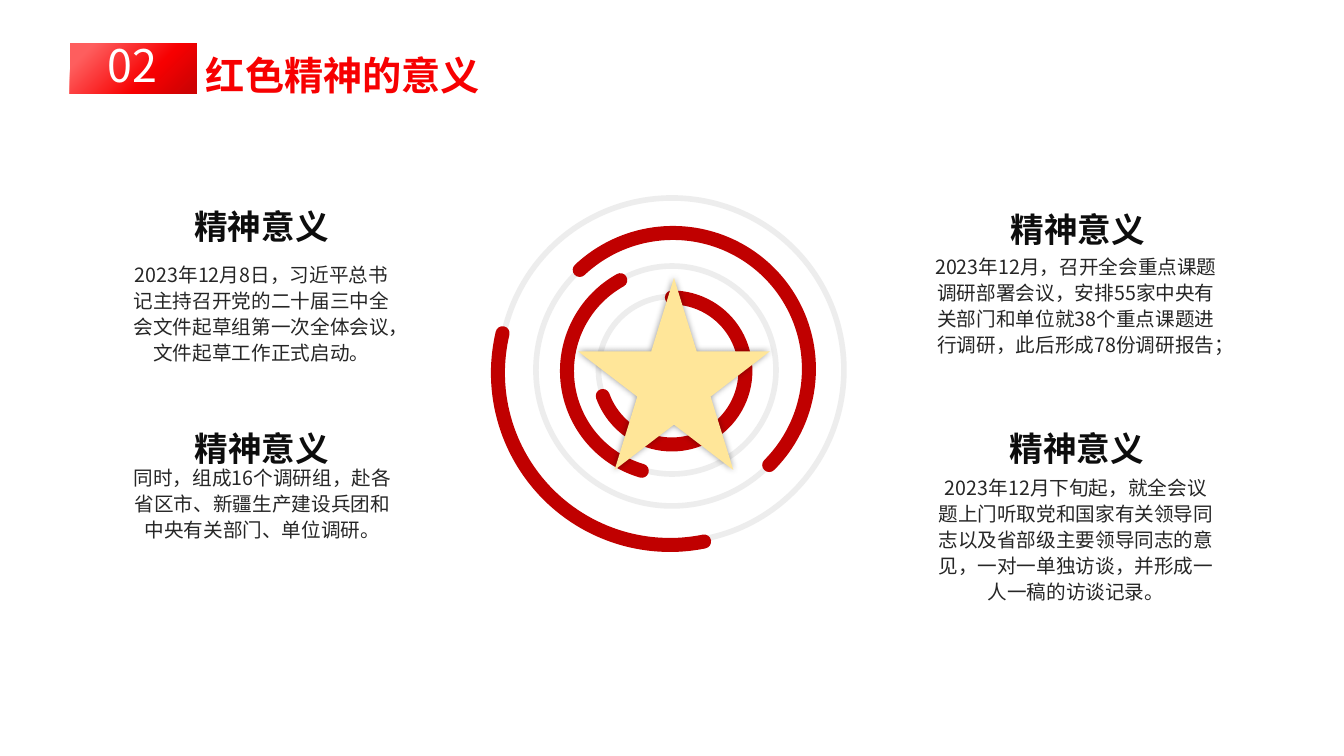
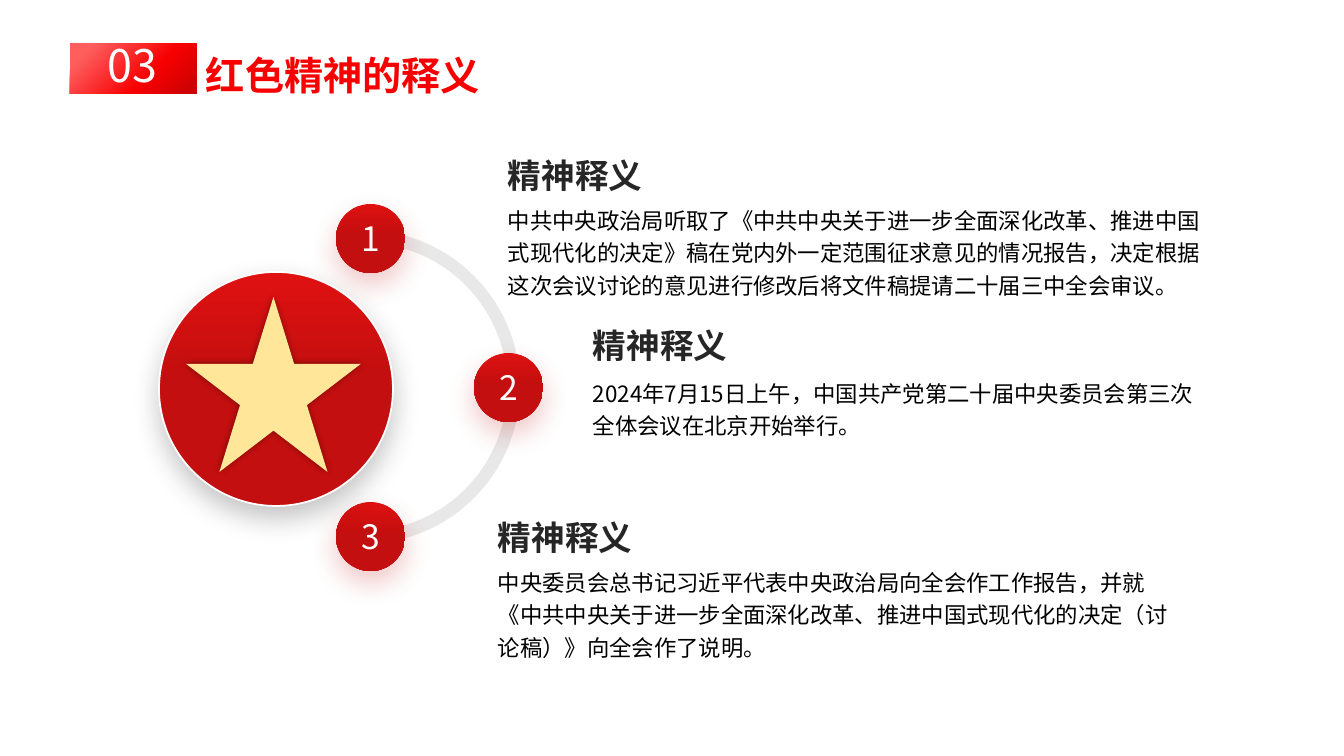
from lxml import etree
from pptx import Presentation
from pptx.dml.color import RGBColor
from pptx.enum.shapes import MSO_SHAPE
from pptx.enum.text import MSO_ANCHOR, MSO_AUTO_SIZE, PP_ALIGN
from pptx.oxml.ns import qn
from pptx.util import Pt

RECT, OVAL, ARC = MSO_SHAPE.RECTANGLE, MSO_SHAPE.OVAL, MSO_SHAPE.ARC
STAR, BLOCK_ARC = MSO_SHAPE.STAR_5_POINT, MSO_SHAPE.BLOCK_ARC
LEFT, CENTER, JUSTIFY = PP_ALIGN.LEFT, PP_ALIGN.CENTER, PP_ALIGN.JUSTIFY
MIDDLE, GROW = MSO_ANCHOR.MIDDLE, MSO_AUTO_SIZE.SHAPE_TO_FIT_TEXT

PX_PER_INCH = 100.8
EMU_PER_PX = 914400 / PX_PER_INCH
PAGE_SIZE = (1344, 756)

THEME = {
    "font": "Noto Sans CJK SC",
    "white": "FFFFFF",
    "arc": "C00000",
    "star": "FFE699",
    "ring": ("A6A6A6", 20),
    "track": ("D9D9D9", 60),
    "tag": ([(14, "FE5E5E"), (63, "F70001"), (94, "CE0203")], 45),
    "title": ([(7, "FE2624"), (60, "F70001"), (94, "CE0203")], 45),
    "medal": ([(0, "DF1111"), (45, "C30F0F")], 90),
    "star_shadow": ("000000", 40, 5, 0, 0),
    "badge_shadow": ("C30F0F", 23, 20, 8, 90),
    "medal_shadow": ("000000", 23, 20, 8, 90),
}
STYLES = {
    "number": {"size": 32, "color": THEME["white"], "align": CENTER},
    "title": {"size": 28, "color": THEME["title"], "bold": True, "align": JUSTIFY},
    "ring_heading": {"size": 24, "color": "0D0D0D", "bold": True, "align": CENTER, "spacing": 1.2},
    "ring_body": {"size": 14, "color": "262626", "align": CENTER, "spacing": 1.1},
    "step_heading": {"size": 24, "color": "262626", "bold": True, "align": LEFT, "spacing": 0.9},
    "step_body": {"size": 16, "color": "000000", "align": LEFT, "spacing": 1.2},
    "badge": {"size": 24, "color": THEME["white"], "align": CENTER},
}

MEANING_TITLE = ("02", "红色精神的意义")
MEANING_HEADING = "精神意义"
MEANINGS = [
    ((953, 196, 250, 59), (920, 248, 312, 115),
     "2023年12月，召开全会重点课题调研部署会议，安排55家中央有关部门和单位就38个重点课题进行调研，此后形成78份调研报告；"),
    ((952, 415, 250, 59), (926, 469, 300, 141),
     "2023年12月下旬起，就全会议题上门听取党和国家有关领导同志以及省部级主要领导同志的意见，一对一单独访谈，并形成一人一稿的访谈记录。"),
    ((137, 415, 250, 59), (118, 459, 289, 89),
     "同时，组成16个调研组，赴各省区市、新疆生产建设兵团和中央有关部门、单位调研。"),
    ((142, 193, 239, 59), (117, 256, 289, 115),
     "2023年12月8日，习近平总书记主持召开党的二十届三中全会文件起草组第一次全体会议，文件起草工作正式启动。"),
]
RING_CENTER = (672, 370)
RINGS = [
    (147, (672, 371), 270, 160.11),
    (208, (671, 371), 106.31, 240.83),
    (272, (673, 369), 226.72, 44.95),
    (344, (670, 373), 78.53, 193.36),
]

STEP_TITLE = ("03", "红色精神的释义")
STEP_HEADING = "精神释义"
STEPS = [
    ((336, 204), (498, 155, 345, 47), (498, 197, 726, 108),
     "中共中央政治局听取了《中共中央关于进一步全面深化改革、推进中国式现代化的决定》稿在党内外一定范围征求意见的情况报告，决定根据这次会议讨论的意见进行修改后将文件稿提请二十届三中全会审议。"),
    ((474, 353), (583, 325, 345, 47), (583, 370, 641, 76),
     "2024年7月15日上午，中国共产党第二十届中央委员会第三次全体会议在北京开始举行。"),
    ((336, 502), (488, 517, 520, 47), (488, 559, 691, 108),
     "中央委员会总书记习近平代表中央政治局向全会作工作报告，并就《中共中央关于进一步全面深化改革、推进中国式现代化的决定（讨论稿）》向全会作了说明。"),
]
BADGE_SIZE = 69


def px(value):
    return round(value * EMU_PER_PX)


def place(*box):
    return [px(value) for value in box]


def around(center, size):
    return (center[0] - size / 2, center[1] - size / 2, size, size)


def add_color(parent, color, alpha=None):
    node = etree.SubElement(parent, qn("a:srgbClr"), val=color)
    if alpha is not None:
        etree.SubElement(node, qn("a:alpha"), val=str(alpha * 1000))


def paint(fill, owner, color):
    if isinstance(color, str):
        fill.solid()
        fill.fore_color.rgb = RGBColor.from_string(color)
    elif isinstance(color[0], str):
        paint(fill, owner, color[0])
        node = owner.find(qn("a:solidFill"))[0]
        etree.SubElement(node, qn("a:alpha"), val=str(color[1] * 1000))
    else:
        stops, angle = color
        fill.gradient()
        fill.gradient_angle = 360 - angle
        stop_list = owner.find(qn("a:gradFill")).find(qn("a:gsLst"))
        for old in list(stop_list):
            stop_list.remove(old)
        for position, stop in stops:
            add_color(etree.SubElement(stop_list, qn("a:gs"), pos=str(position * 1000)), stop)


def add_shape(page, kind, box, fill=None, line=None, width=1, shadow=None, adjust=(), round_cap=False):
    shape = page.shapes.add_shape(kind, *place(*box))
    properties = shape._element.spPr
    for index, value in enumerate(adjust):
        shape.adjustments[index] = value
    if fill:
        paint(shape.fill, properties, fill)
    else:
        shape.fill.background()
    if line:
        shape.line.width = Pt(width)
        outline = properties.find(qn("a:ln"))
        paint(shape.line.fill, outline, line)
        if round_cap:
            outline.set("cap", "rnd")
    else:
        shape.line.fill.background()
    shape.shadow.inherit = False
    if shadow:
        color, alpha, blur, distance, angle = shadow
        outer = etree.SubElement(
            properties.find(qn("a:effectLst")), qn("a:outerShdw"), blurRad=str(Pt(blur)),
            dist=str(Pt(distance)), dir=str(angle * 60000), algn="ctr", rotWithShape="0")
        add_color(outer, color, alpha)
    return shape


def write(frame, text, style):
    para = frame.paragraphs[0]
    para.alignment = style["align"]
    if "spacing" in style:
        para.line_spacing = style["spacing"]
    span = para.add_run()
    span.text = text
    formats = {"size": Pt(style["size"]), "bold": style.get("bold", False), "name": THEME["font"]}
    for name, value in formats.items():
        setattr(span.font, name, value)
    properties = span._r.get_or_add_rPr()
    etree.SubElement(properties, qn("a:ea"), typeface=THEME["font"])
    paint(span.font.fill, properties, style["color"])


def add_text(page, box, text, style_name):
    frame = page.shapes.add_textbox(*place(*box)).text_frame
    frame.word_wrap = True
    frame.auto_size = GROW
    write(frame, text, STYLES[style_name])


def add_star(page, box):
    add_shape(page, STAR, box, THEME["star"], shadow=THEME["star_shadow"])


def add_page(deck, heading):
    page = deck.slides.add_slide(deck.slide_layouts[6])
    number, title = heading
    add_shape(page, RECT, (70, 43, 127, 51), THEME["tag"])
    add_text(page, (89, 33, 87, 65), number, "number")
    add_text(page, (196, 46, 349, 57), title, "title")
    return page


def build_meanings(deck):
    page = add_page(deck, MEANING_TITLE)
    for heading_box, body_box, body in MEANINGS:
        add_text(page, heading_box, MEANING_HEADING, "ring_heading")
        add_text(page, body_box, body, "ring_body")
    for size, *_ in RINGS:
        add_shape(page, OVAL, around(RING_CENTER, size), line=THEME["ring"], width=4)
    for size, center, start, end in RINGS:
        add_shape(page, ARC, around(center, size), line=THEME["arc"], width=10,
                  adjust=(start * 0.6, end * 0.6), round_cap=True)
    add_star(page, (578, 278, 192, 192))


def build_steps(deck):
    page = add_page(deck, STEP_TITLE)
    track = add_shape(page, BLOCK_ARC, (206, 230, 314, 314), THEME["track"], adjust=(108, 0.17, 0.04))
    track.rotation = 90
    for number, (corner, heading_box, body_box, body) in enumerate(STEPS, 1):
        badge = add_shape(page, OVAL, (*corner, BADGE_SIZE, BADGE_SIZE), THEME["medal"],
                          shadow=THEME["badge_shadow"])
        frame = badge.text_frame
        frame.vertical_anchor = MIDDLE
        for side in ("left", "top", "right", "bottom"):
            setattr(frame, f"margin_{side}", 0)
        write(frame, str(number), STYLES["badge"])
        add_text(page, body_box, body, "step_body")
        add_text(page, heading_box, STEP_HEADING, "step_heading")
    add_shape(page, OVAL, (159, 272, 234, 234), THEME["medal"], THEME["white"], 1.25,
              THEME["medal_shadow"])
    add_star(page, (186, 297, 175, 175))


def main():
    deck = Presentation()
    deck.slide_width, deck.slide_height = place(*PAGE_SIZE)
    build_meanings(deck)
    build_steps(deck)
    deck.save("out.pptx")


if __name__ == "__main__":
    main()
